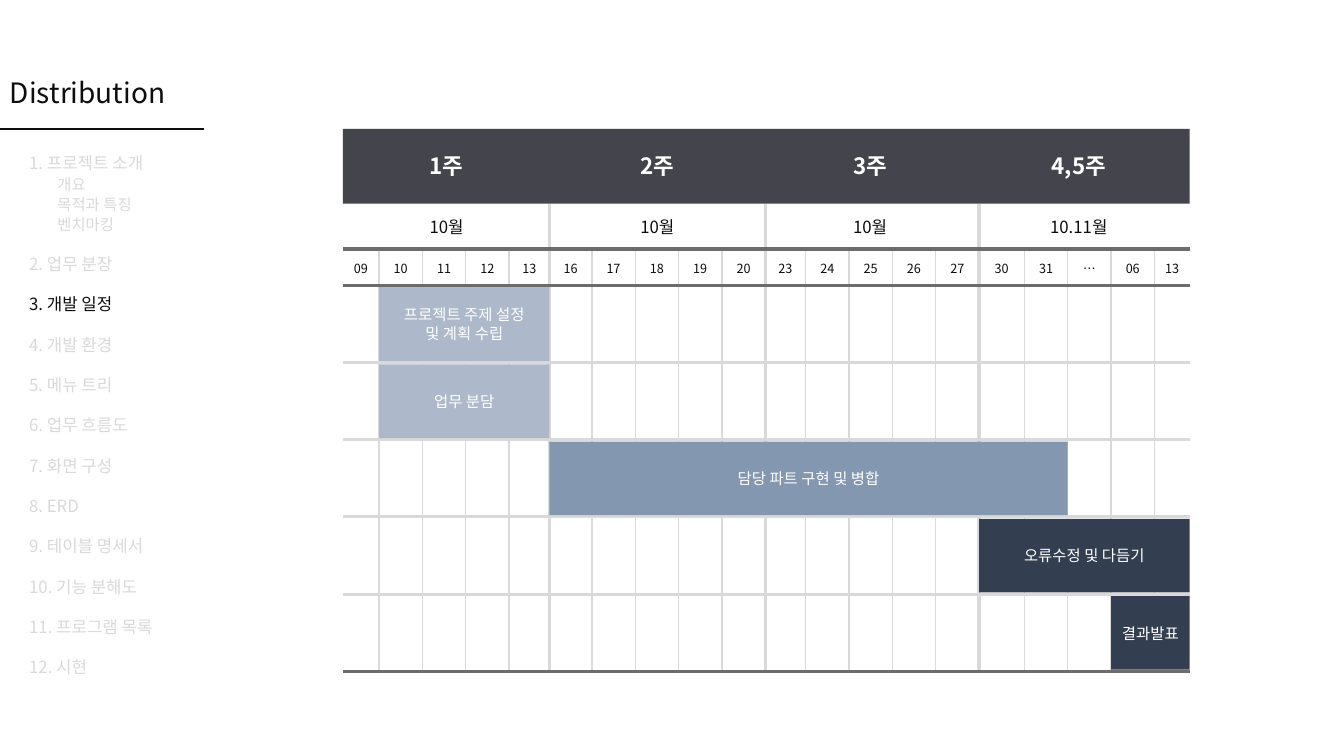
from lxml import etree
from pptx import Presentation
from pptx.dml.color import RGBColor
from pptx.enum import shapes, text
from pptx.oxml import ns
from pptx.util import Inches, Pt

FONT = "Noto Sans CJK KR"
INK = RGBColor(0x0D, 0x0D, 0x0D)
PALE = RGBColor(0xD9, 0xD9, 0xD9)
WHITE = RGBColor(0xFF, 0xFF, 0xFF)
RULE = RGBColor(0x6C, 0x6C, 0x6C)
HEADER = RGBColor(0x44, 0x44, 0x4C)
LIGHT_BLUE = RGBColor(0xAD, 0xB9, 0xCA)
MID_BLUE = RGBColor(0x84, 0x97, 0xB0)
NAVY = RGBColor(0x33, 0x3F, 0x50)

# Sidebar entries: text, is a sub-item
TOPICS = [
    ("1. 프로젝트 소개", False), ("개요", True), ("목적과 특징", True), ("벤치마킹", True),
    ("2. 업무 분장", False), ("3. 개발 일정", False), ("4. 개발 환경", False),
    ("5. 메뉴 트리", False), ("6. 업무 흐름도", False), ("7. 화면 구성", False),
    ("8. ERD", False), ("9. 테이블 명세서", False), ("10. 기능 분해도", False),
    ("11. 프로그램 목록", False), ("12. 시현", False),
]
CURRENT_TOPIC = "3. 개발 일정"

# Offsets from the chart's left edge: week start, second day, label centre
WEEKS = [
    (0, 0.36, 1.03, "1주", "10월", ["09", "10", "11", "12", "13"]),
    (2.05, 2.47, 3.12, "2주", "10월", ["16", "17", "18", "19", "20"]),
    (4.19, 4.59, 5.23, "3주", "10월", ["23", "24", "25", "26", "27"]),
    (6.31, 6.76, 7.3, "4,5주", "10.11월", ["30", "31", "…", "06", "13"]),
]
DAY_WIDTH = 0.43

# Tasks, one a row: text, first day column, column after the last day, fill
TASKS = [
    (["프로젝트 주제 설정", "및 계획 수립"], 1, 5, LIGHT_BLUE),
    (["업무 분담"], 1, 5, LIGHT_BLUE),
    (["담당 파트 구현 및 병합"], 5, 17, MID_BLUE),
    (["오류수정 및 다듬기"], 15, 20, NAVY),
    (["결과발표"], 18, 20, NAVY),
]


def style(para, size, color, bold=False):
    for span in para.runs:
        span.font.size = Pt(size)
        span.font.bold = bold
        span.font.name = FONT
        span.font.color.rgb = color
        east_asian = etree.SubElement(span.font._element, ns.qn("a:ea"))
        east_asian.set("typeface", FONT)


def add_line(page, start, end, color, width):
    line = page.shapes.add_connector(
        shapes.MSO_CONNECTOR.STRAIGHT, *(Inches(value) for value in (*start, *end)))
    line.line.color.rgb = color
    line.line.width = Pt(width)
    etree.SubElement(line._element.spPr, ns.qn("a:effectLst"))


def add_label(page, center, top, words, size, color, bold=False):
    """Place one centred line of text around a horizontal position."""
    width = 1
    box = page.shapes.add_textbox(
        Inches(center - width / 2), Inches(top), Inches(width), Inches(0.3))
    box.text_frame.text = words
    para = box.text_frame.paragraphs[0]
    para.alignment = text.PP_ALIGN.CENTER
    style(para, size, color, bold)


def add_block(page, left, top, width, height, fill, lines=()):
    """Add a plain filled rectangle with optional centred text."""
    block = page.shapes.add_shape(
        shapes.MSO_SHAPE.RECTANGLE,
        Inches(left), Inches(top), Inches(width), Inches(height))
    block.shadow.inherit = False
    block.fill.solid()
    block.fill.fore_color.rgb = fill
    block.line.fill.background()
    frame = block.text_frame
    frame.text = "\n".join(lines)
    frame.word_wrap = False
    frame.vertical_anchor = text.MSO_ANCHOR.MIDDLE
    for para in frame.paragraphs:
        para.alignment = text.PP_ALIGN.CENTER
        style(para, 11, WHITE)


def add_title(page, left, top, width, height):
    box = page.shapes.add_textbox(Inches(left), Inches(top), Inches(width), Inches(height))
    box.text_frame.text = "Distribution"
    style(box.text_frame.paragraphs[0], 20, INK)
    underline = top + 0.58
    add_line(page, (left, underline), (left + 2.02, underline), INK, 1.5)


def add_sidebar(page, left, top, width, height):
    box = page.shapes.add_textbox(Inches(left), Inches(top), Inches(width), Inches(height))
    frame = box.text_frame
    frame.word_wrap = True
    frame.text = "\n".join(words for words, _ in TOPICS)
    for index, (para, (words, is_sub)) in enumerate(zip(frame.paragraphs, TOPICS)):
        if is_sub:
            para._p.get_or_add_pPr().set("marL", str(Inches(0.28)))
            para.line_spacing = 1.09
        elif index:
            para.line_spacing = 2.0
        style(para, 11 if is_sub else 12, INK if words == CURRENT_TOPIC else PALE)


def add_schedule(page, left, top, width, height):
    right, bottom = left + width, top + height
    weeks_bottom, months_bottom, days_bottom = top + 0.74, top + 1.19, top + 1.55
    row_height = (bottom - days_bottom) / len(TASKS)
    edges = []
    for start, second, *_ in WEEKS:
        edges.append(left + start)
        edges += [left + second + DAY_WIDTH * day for day in range(4)]
    edges.append(right)

    for column, edge in enumerate(edges[1:-1], 1):
        starts_week = column % 5 == 0
        line_top = weeks_bottom if starts_week else months_bottom
        add_line(page, (edge, line_top), (edge, bottom), PALE, 2.25 if starts_week else 1)

    for row in range(1, len(TASKS)):
        y = days_bottom + row * row_height
        add_line(page, (left, y), (right, y), PALE, 2.25)
    for row, (lines, first, end, fill) in enumerate(TASKS):
        bar_top = days_bottom + row * row_height + 0.02
        add_block(page, edges[first], bar_top, edges[end] - edges[first], 0.73, fill, lines)
    for y in (months_bottom, days_bottom, bottom):
        add_line(page, (left, y), (right, y), RULE, 2.25)

    add_block(page, left, top, width, weeks_bottom - top, HEADER)
    days = []
    for _, _, center, week, month, week_days in WEEKS:
        add_label(page, left + center, top + 0.18, week, 16, WHITE, bold=True)
        add_label(page, left + center, weeks_bottom + 0.08, month, 12, INK)
        days += week_days
    for day, start, end in zip(days, edges, edges[1:]):
        add_label(page, (start + end) / 2, months_bottom + 0.07, day, 9, INK)


def main():
    deck = Presentation()
    deck.slide_width, deck.slide_height = Inches(13.33), Inches(7.5)
    page = deck.slides.add_slide(deck.slide_layouts[6])
    add_title(page, 0, 0.7, 1.92, 0.44)
    add_sidebar(page, 0.19, 1.47, 1.45, 5.35)
    add_schedule(page, 3.4, 1.28, 8.4, 5.38)
    deck.save("out.pptx")


if __name__ == "__main__":
    main()
